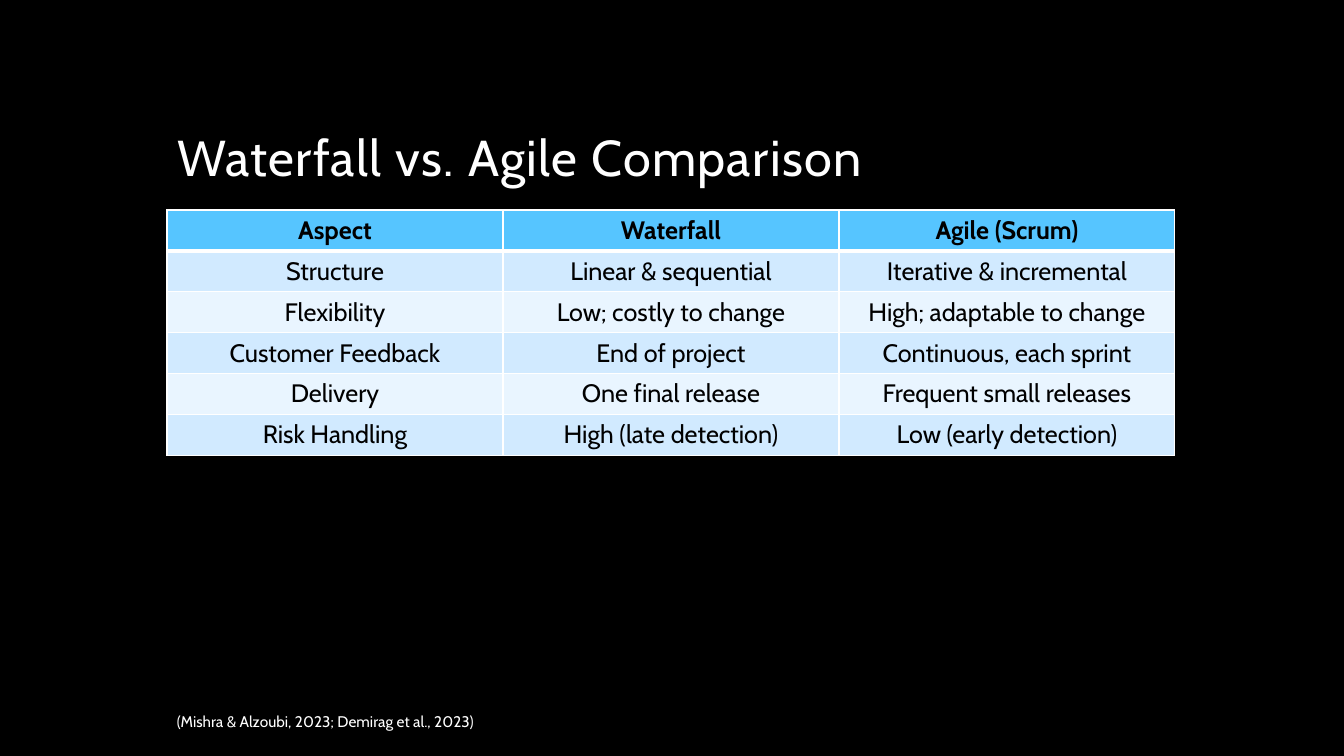
from lxml.etree import SubElement
from pptx import Presentation
from pptx.dml.color import RGBColor
from pptx.enum.text import MSO_ANCHOR as Anchor, MSO_AUTO_SIZE as AutoSize, PP_ALIGN as Align
from pptx.oxml.ns import qn
from pptx.util import Emu, Pt

PX_PER_INCH = 100.8
FONT = "Cabin"
COLORS = {
    "background": "000000",
    "light": "FFFFFF",
    "dark": "000000",
    "header": "56C5FF",
    "odd": "D1EAFF",
    "even": "E9F5FF",
}
COMPARISON = [
    ("Aspect", "Waterfall", "Agile (Scrum)"),
    ("Structure", "Linear & sequential", "Iterative & incremental"),
    ("Flexibility", "Low; costly to change", "High; adaptable to change"),
    ("Customer Feedback", "End of project", "Continuous, each sprint"),
    ("Delivery", "One final release", "Frequent small releases"),
    ("Risk Handling", "High (late detection)", "Low (early detection)"),
]


def px(length):
    """Turn pixels into EMU."""
    return Emu(round(length * 914400 / PX_PER_INCH))


def color(name):
    """Look up a named colour."""
    return RGBColor.from_string(COLORS[name])


def write(frame, text, size, color_name, bold=False, align=Align.LEFT):
    """Set one paragraph of formatted text and return it."""
    frame.text = text
    para = frame.paragraphs[0]
    para.alignment = align
    for span in para.runs:
        span.font.name = FONT
        span.font.size = Pt(size)
        span.font.bold = bold
        span.font.color.rgb = color(color_name)
    return para


def set_borders(cell, widths):
    """Draw white borders with widths in points, keyed by side."""
    properties = cell._tc.get_or_add_tcPr()
    for side, width in widths.items():
        line = SubElement(properties, qn(f"a:ln{side}"), w=str(Pt(width)))
        fill = SubElement(line, qn("a:solidFill"))
        SubElement(fill, qn("a:srgbClr"), val=COLORS["light"])


def add_title(page, left, top, width, height):
    """Place the slide title at the bottom of its box."""
    title = page.shapes.title
    title.left, title.top, title.width, title.height = map(px, (left, top, width, height))
    frame = title.text_frame
    frame.auto_size = AutoSize.NONE
    frame.word_wrap = True
    frame.vertical_anchor = Anchor.BOTTOM
    para = write(frame, "Waterfall vs. Agile Comparison", 36, "light")
    para.line_spacing = 0.9
    for properties in title.element.iter(qn("a:rPr")):
        properties.set("spc", "100")


def add_comparison(page, left, top, width, height):
    """Place the comparison table with a header and banded rows."""
    rows, columns = len(COMPARISON), len(COMPARISON[0])
    box = page.shapes.add_table(rows, columns, *map(px, (left, top, width, height)))
    table = box.table
    for column in table.columns:
        column.width = px(width / columns)
    for index, values in enumerate(COMPARISON):
        table.rows[index].height = px(height / rows)
        is_header = index == 0
        band = "header" if is_header else ("even", "odd")[index % 2]
        widths = {"L": 1, "R": 1, "T": 3 if index == 1 else 1, "B": 3 if is_header else 1}
        for cell, text in zip(table.rows[index].cells, values):
            set_borders(cell, widths)
            cell.fill.solid()
            cell.fill.fore_color.rgb = color(band)
            write(cell.text_frame, text, 18, "dark", is_header, Align.CENTER)


def add_citation(page, left, top, width, height):
    """Place the source citation, centred vertically in its box."""
    box = page.shapes.add_textbox(*map(px, (left, top, width, height)))
    frame = box.text_frame
    frame.word_wrap = True
    frame.vertical_anchor = Anchor.MIDDLE
    write(frame, "(Mishra & Alzoubi, 2023; Demirag et al., 2023)", 11, "light")


def main():
    """Build and save the deck."""
    deck = Presentation()
    deck.slide_width, deck.slide_height = px(1344), px(756)
    page = deck.slides.add_slide(deck.slide_layouts.get_by_name("Title Only"))
    page.background.fill.solid()
    page.background.fill.fore_color.rgb = color("background")
    add_title(page, 167, 42, 1008, 151)
    add_comparison(page, 167, 210, 1008, 245)
    add_citation(page, 167, 706, 723, 30)
    deck.save("out.pptx")


if __name__ == "__main__":
    main()
